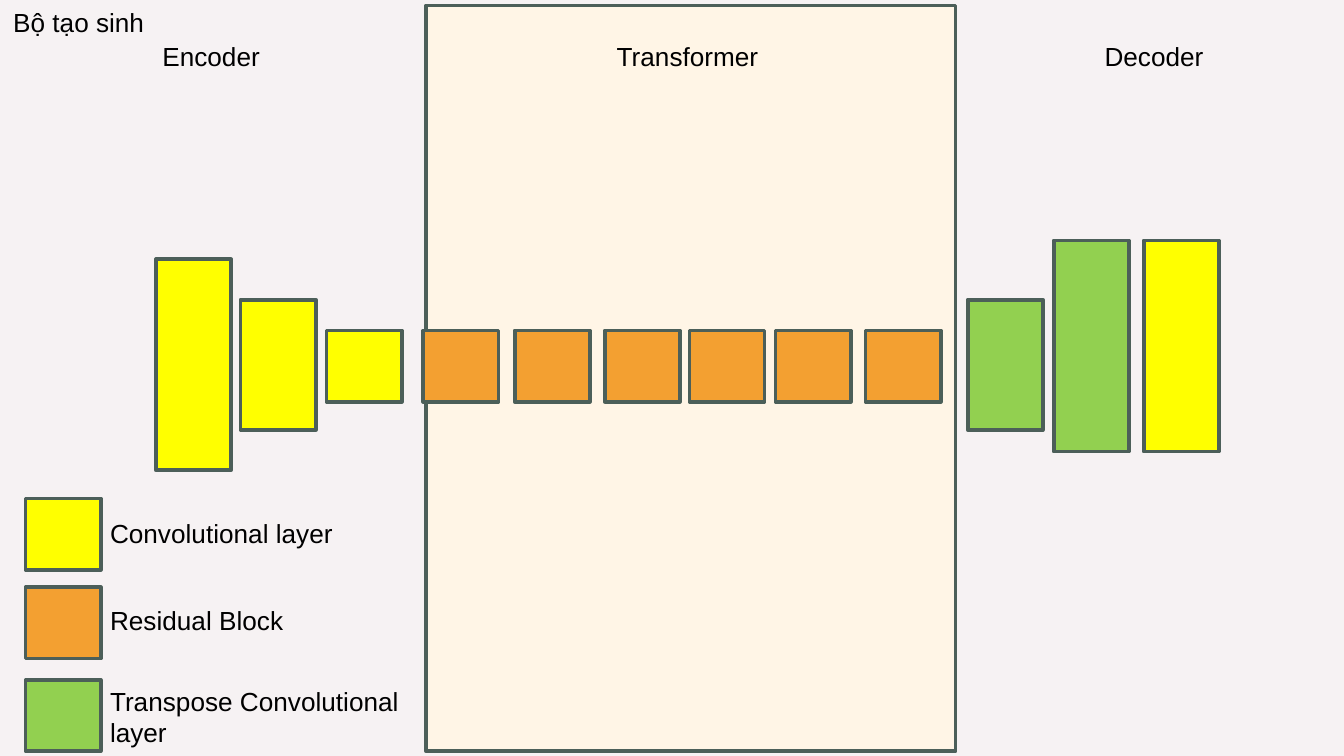
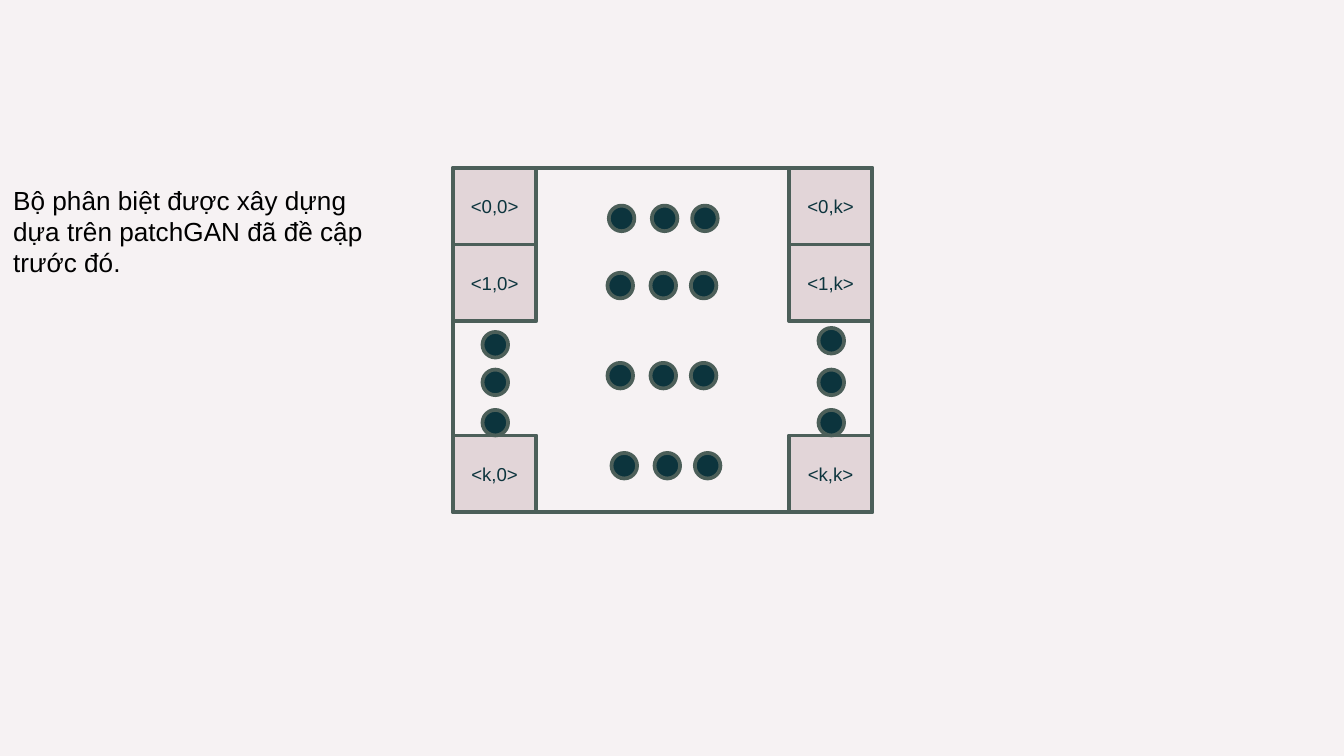
import pptx
import pptx.dml.color
import pptx.enum.shapes
import pptx.enum.text
import pptx.util

Inches = pptx.util.Inches
RGBColor = pptx.dml.color.RGBColor
RECTANGLE = pptx.enum.shapes.MSO_SHAPE.RECTANGLE
DOT = pptx.enum.shapes.MSO_SHAPE.FLOWCHART_CONNECTOR

BACKGROUND = RGBColor(0xF6, 0xF2, 0xF3)
OUTLINE = RGBColor(0x4C, 0x5F, 0x59)
CREAM = RGBColor(0xFF, 0xF5, 0xE6)
YELLOW = RGBColor(0xFF, 0xFF, 0x00)
ORANGE = RGBColor(0xF3, 0xA0, 0x31)
GREEN = RGBColor(0x92, 0xD0, 0x50)
PATCH = RGBColor(0xE2, 0xD5, 0xD8)
DARK = RGBColor(0x0C, 0x34, 0x3D)
BLACK = RGBColor(0x00, 0x00, 0x00)


def add_box(slide, kind, left, top, width, height, color=None):
    shape = slide.shapes.add_shape(
        kind, Inches(left), Inches(top), Inches(width), Inches(height))
    shape.shadow.inherit = False
    if color is None:
        shape.fill.background()
    else:
        shape.fill.solid()
        shape.fill.fore_color.rgb = color
    shape.line.color.rgb = OUTLINE
    shape.line.width = pptx.util.Pt(2)
    return shape


def add_text(slide, text, left, top, width, height):
    box = slide.shapes.add_textbox(
        Inches(left), Inches(top), Inches(width), Inches(height))
    box.text_frame.word_wrap = True
    box.text_frame.auto_size = pptx.enum.text.MSO_AUTO_SIZE.SHAPE_TO_FIT_TEXT
    run = box.text_frame.paragraphs[0].add_run()
    run.text = text
    run.font.name = "Arial"
    run.font.size = pptx.util.Pt(14)
    run.font.color.rgb = BLACK


# Widescreen 16:9 slides on a shared background
presentation = pptx.Presentation()
presentation.slide_width = Inches(10)
presentation.slide_height = Inches(10) * 9 // 16
slides = []
for number in range(2):
    slide = presentation.slides.add_slide(presentation.slide_layouts[6])
    slide.background.fill.solid()
    slide.background.fill.fore_color.rgb = BACKGROUND
    slides.append(slide)
generator, discriminator = slides

# Generator: transformer panel
add_box(generator, RECTANGLE, 3.17, 0.04, 3.94, 5.55, CREAM)

# Generator: layers from encoder to decoder
LAYER_WIDTH, BLOCK_HEIGHT = 0.56, 0.53
layers = [
    (1.16, 1.93, 1.57, YELLOW),
    (1.79, 2.23, 0.97, YELLOW),
    (2.43, 2.46, BLOCK_HEIGHT, YELLOW),
]
for left in (3.15, 3.83, 4.5, 5.13, 5.77, 6.44):
    layers.append((left, 2.46, BLOCK_HEIGHT, ORANGE))
layers += [
    (7.2, 2.23, 0.97, GREEN),
    (7.84, 1.79, 1.57, GREEN),
    (8.51, 1.79, 1.57, YELLOW),
]
for left, top, height, color in layers:
    add_box(generator, RECTANGLE, left, top, LAYER_WIDTH, height, color)

# Generator: stage headings
for heading, left, width in (
        ("Transformer", 4.49, 1.3), ("Encoder", 1.11, 0.93), ("Decoder", 8.12, 0.96)):
    add_text(generator, heading, left, 0.25, width, 0.34)

# Generator: legend
for label, color, swatch_top, label_top, label_height in (
        ("Convolutional layer", YELLOW, 3.71, 3.8, 0.34),
        ("Residual Block", ORANGE, 4.37, 4.45, 0.34),
        ("Transpose Convolutional layer", GREEN, 5.06, 5.05, 0.57)):
    add_box(generator, RECTANGLE, 0.19, swatch_top, LAYER_WIDTH, BLOCK_HEIGHT, color)
    add_text(generator, label, 0.72, label_top, 2.38, label_height)

add_text(generator, "Bộ tạo sinh", 0, 0, 1.51, 0.34)

# Discriminator: frame and labelled patches
add_box(discriminator, RECTANGLE, 3.37, 1.25, 3.12, 2.56)
for column, left in (("0", 3.37), ("k", 5.87)):
    for row, top in (("0", 1.25), ("1", 1.82), ("k", 3.24)):
        patch = add_box(discriminator, RECTANGLE, left, top, 0.62, 0.57, PATCH)
        patch.text_frame.vertical_anchor = pptx.enum.text.MSO_ANCHOR.MIDDLE
        paragraph = patch.text_frame.paragraphs[0]
        paragraph.alignment = pptx.enum.text.PP_ALIGN.CENTER
        run = paragraph.add_run()
        run.text = f"<{row},{column}>"
        run.font.name = "Arial"
        run.font.size = pptx.util.Pt(10)
        run.font.color.rgb = DARK

# Discriminator: dots standing for the patches between
dots = []
for row_left, top in ((4.53, 1.53), (4.52, 2.03), (4.52, 2.7), (4.55, 3.37)):
    dots += [(row_left + offset, top) for offset in (0, 0.32, 0.62)]
for left, first_top in ((3.59, 2.47), (6.09, 2.44)):
    dots += [(left, top) for top in (first_top, 2.75, 3.05)]
for left, top in dots:
    add_box(discriminator, DOT, left, top, 0.19, 0.19, DARK)

add_text(discriminator,
         "Bộ phân biệt được xây dựng dựa trên patchGAN đã đề cập trước đó.",
         0, 1.32, 3, 0.81)

presentation.save("out.pptx")
